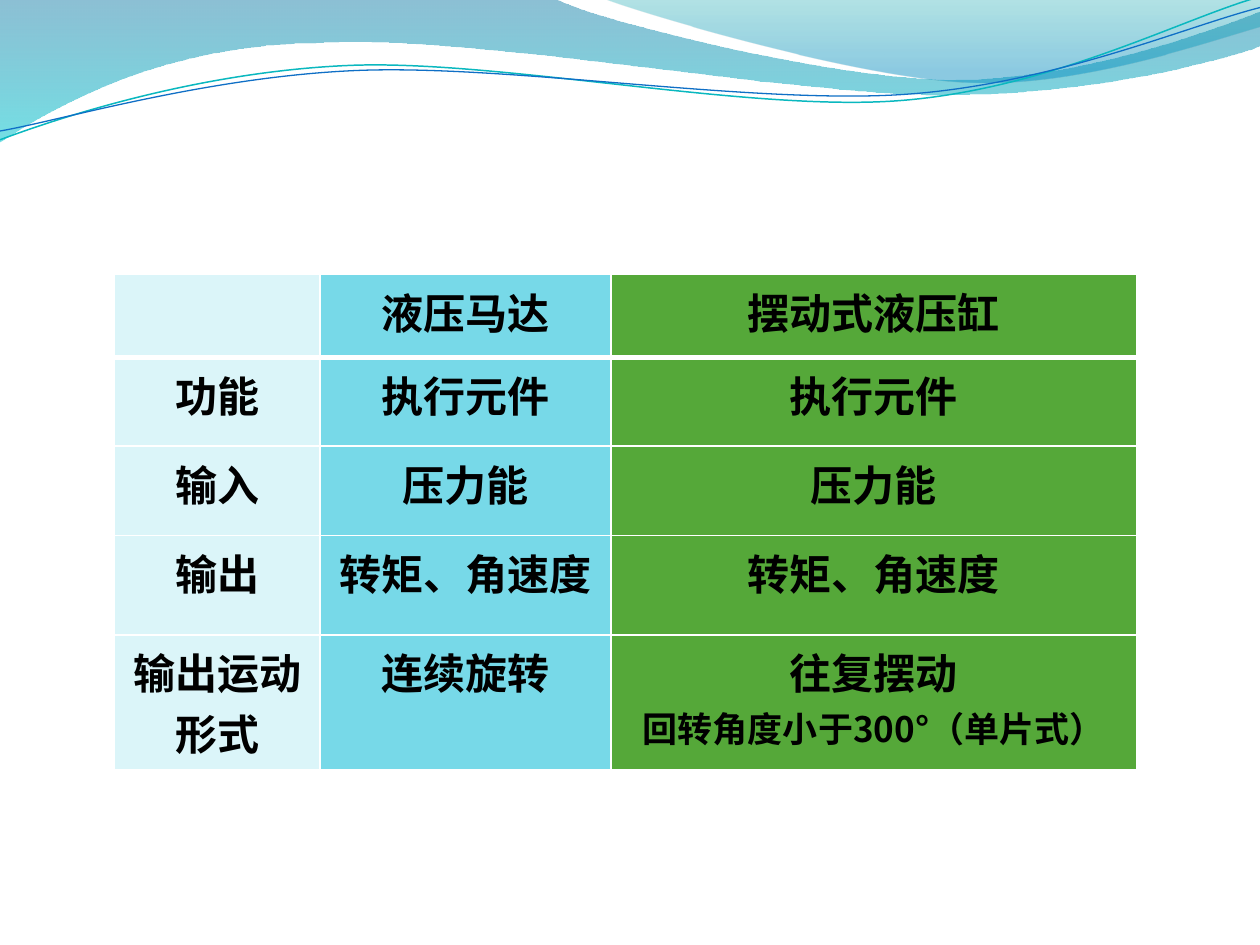
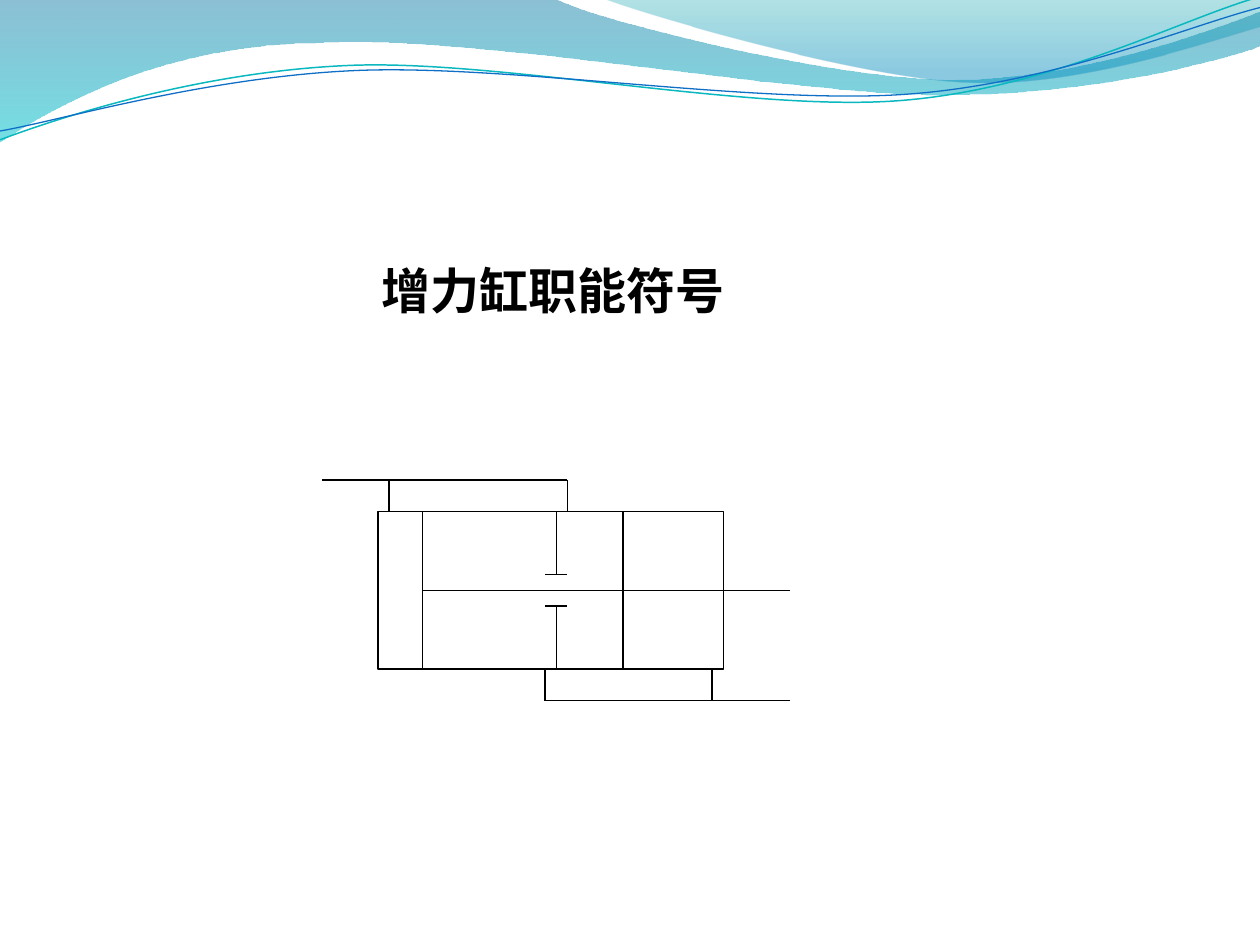
from lxml.etree import SubElement
from pptx import Presentation
from pptx.dml.color import RGBColor
from pptx.enum.shapes import MSO_CONNECTOR, MSO_SHAPE
from pptx.enum.text import MSO_ANCHOR, MSO_AUTO_SIZE, PP_ALIGN
from pptx.oxml.ns import qn
from pptx.util import Inches, Pt

FONT = "Noto Sans CJK SC"
BLACK, WHITE = "000000", "FFFFFF"

BANDS = [
    {"start": (0, -0.01),
     "segments": [(4.4, -0.01), (4.76, 0.17, 6.64, 0.63, 7.58, 0.63),
                  (8.53, 0.63, 9.58, 0.26, 10, 0.09), (10.01, 0.36),
                  (9.83, 0.44, 8.7, 0.76, 7.46, 0.75),
                  (6.22, 0.75, 3.82, 0.28, 2.57, 0.34),
                  (1.29, 0.35, 0.46, 0.83, -0.01, 1.13)],
     "stops": [(0, "0074A1", 45), (1, "00C6CF", 55)]},
    {"start": (4.79, -0.01),
     "segments": [(5.09, 0.11, 6.82, 0.62, 7.69, 0.65),
                  (8.56, 0.69, 9.61, 0.32, 10, 0.21), (10, 0)],
     "stops": [(0, "00A1A9", 30), (0.8, "008BBF", 45)]},
    {"start": (0, 1.11),
     "segments": [(0.48, 0.93, 1.58, 0.57, 2.77, 0.52),
                  (3.95, 0.47, 5.93, 0.89, 7.13, 0.8),
                  (8.33, 0.71, 9.38, 0.15, 9.98, -0.02)],
     "line": ("0AB8BF", 0.85)},
    {"start": (0, 1.04),
     "segments": [(0.47, 0.96, 1.64, 0.61, 2.83, 0.56),
                  (4.03, 0.51, 5.97, 0.83, 7.17, 0.75),
                  (8.36, 0.67, 9.41, 0.21, 10, 0.06)],
     "line": ("0F6FC6", 0.75)},
]

COMPARISON = [
    ["", "液压马达", "摆动式液压缸"],
    ["功能", "执行元件", "执行元件"],
    ["输入", "压力能", "压力能"],
    ["输出", "转矩、角速度", "转矩、角速度"],
    ["输出运动形式", "连续旋转", "往复摆动\n回转角度小于300°（单片式）"],
]
COLUMNS = [(1.63, "DBF5F9"), (2.31, "77D9E8"), (4.17, "55A839")]
ROW_HEIGHTS = [0.66, 0.7, 0.71, 0.79, 0.91]

SYMBOL_TITLE = "增力缸职能符号"
CYLINDER = {"left": 3, "top": 4.06, "width": 2.74, "height": 1.25}
GRID_COLS, GRID_ROWS = 31, 10
SYMBOL_LINES = {
    "large piston": (4, 0, 4, 10),
    "rod": (4, 5, 37, 5),
    "small piston": (22, 0, 22, 10),
    "upper wall": (16, 0, 16, 4),
    "upper seal": (15, 4, 17, 4),
    "lower seal": (15, 6, 17, 6),
    "lower wall": (16, 6, 16, 10),
    "inlet left port": (1, 0, 1, -2),
    "outlet right port": (30, 12, 30, 10),
    "inlet right port": (17, 0, 17, -2),
    "outlet left port": (15, 12, 15, 10),
    "inlet pipe": (17, -2, -5, -2),
    "outlet pipe": (37, 12, 15, 12),
}


def rgb(value):
    """Turn a hex string into a colour."""
    return RGBColor.from_string(value)


def style_text(p, size, align):
    """Set the shared bold text style on a paragraph's runs."""
    p.alignment = align
    for r in p.runs:
        for name, value in {"name": FONT, "size": Pt(size), "bold": True}.items():
            setattr(r.font, name, value)
        r.font.color.rgb = rgb(BLACK)
        SubElement(r.font._element, qn("a:ea"), typeface=FONT)


def style_line(line, color, width):
    """Set a line's colour and width."""
    line.color.rgb = rgb(color)
    line.width = Pt(width)


def add_curve(s, start, segments, close):
    """Build an outline in which six-number segments are cubic curves."""
    points = [(Inches(seg[k]), Inches(seg[k + 1]))
              for seg in segments for k in range(0, len(seg), 2)]
    builder = s.shapes.build_freeform(Inches(start[0]), Inches(start[1]))
    builder.add_line_segments(points, close=close)
    sp = builder.convert_to_shape()
    steps = iter(list(sp._element.iter(qn("a:lnTo"))))
    for seg in segments:
        step = next(steps)
        if len(seg) == 6:
            step.addprevious(curve := step.makeelement(qn("a:cubicBezTo")))
            for node in (step, next(steps), next(steps)):
                curve.append(node[0])
                node.getparent().remove(node)
    return sp


def add_bands(prs, s):
    """Draw the waves and place them on the slide master."""
    tree = prs.slide_master.shapes._spTree
    first_id = 1 + max(sp.shape_id for sp in prs.slide_master.shapes)
    for i, band in enumerate(BANDS):
        sp = add_curve(s, band["start"], band["segments"], "stops" in band)
        sp.shadow.inherit = False
        if "stops" in band:
            sp.line.fill.background()
            sp.fill.gradient()
            sp.fill.gradient_angle = 270
            for stop, (position, color, opacity) in zip(sp.fill.gradient_stops, band["stops"]):
                stop.position = position
                stop.color.rgb = rgb(color)
                node = stop._gs.find(qn("a:srgbClr"))
                SubElement(node, qn("a:alpha"), val=str(opacity * 1000))
        else:
            sp.fill.background()
            style_line(sp.line, *band["line"])
        sp._element.nvSpPr.cNvPr.set("id", str(first_id + i))
        tree.insert(2 + i, sp._element)


def set_borders(cell, widths):
    """Give a cell white borders of the given widths."""
    props = cell._tc.get_or_add_tcPr()
    for side, width in widths.items():
        ln = SubElement(props, qn("a:ln" + side), w=str(Pt(width)))
        SubElement(SubElement(ln, qn("a:solidFill")), qn("a:srgbClr"), val=WHITE)


def add_comparison(s):
    """Add the comparison table."""
    width, height = sum(w for w, _ in COLUMNS), sum(ROW_HEIGHTS)
    table = s.shapes.add_table(len(COMPARISON), len(COLUMNS), Inches(0.91), Inches(2.18),
                               Inches(width), Inches(height)).table
    for column, (w, _) in zip(table.columns, COLUMNS):
        column.width = Inches(w)
    for i, texts in enumerate(COMPARISON):
        table.rows[i].height = Inches(ROW_HEIGHTS[i])
        for j, text in enumerate(texts):
            cell = table.cell(i, j)
            set_borders(cell, {"L": 1, "R": 1, "T": 3 if i == 1 else 1, "B": 3 if i == 0 else 1})
            cell.fill.solid()
            cell.fill.fore_color.rgb = rgb(COLUMNS[j][1])
            cell.text = text
            for n, p in enumerate(cell.text_frame.paragraphs):
                style_text(p, 20 if n else 24, PP_ALIGN.CENTER)


def add_title(s, text):
    """Fill and place the title placeholder."""
    title = s.shapes.title
    box = {"left": 2.93, "top": 2.02, "width": 2.96, "height": 0.57}
    for name, value in box.items():
        setattr(title, name, Inches(value))
    tf = title.text_frame
    tf.text = text
    frame = {"word_wrap": False, "vertical_anchor": MSO_ANCHOR.TOP,
             "auto_size": MSO_AUTO_SIZE.SHAPE_TO_FIT_TEXT}
    for name, value in frame.items():
        setattr(tf, name, value)
    style_text(tf.paragraphs[0], 28, PP_ALIGN.LEFT)


def grid_point(col, row):
    """Give the place of a point on the cylinder grid."""
    c = CYLINDER
    return (Inches(c["left"] + col * c["width"] / GRID_COLS),
            Inches(c["top"] + row * c["height"] / GRID_ROWS))


def add_symbol(s):
    """Draw the cylinder symbol on its grid."""
    group = s.shapes.add_group_shape()
    body = group.shapes.add_shape(MSO_SHAPE.RECTANGLE, *map(Inches, CYLINDER.values()))
    body.shadow.inherit = False
    body.fill.background()
    style_line(body.line, BLACK, 0.75)
    for x1, y1, x2, y2 in SYMBOL_LINES.values():
        line = group.shapes.add_connector(MSO_CONNECTOR.STRAIGHT,
                                          *grid_point(x1, y1), *grid_point(x2, y2))
        style_line(line.line, BLACK, 0.75)
        SubElement(line._element.spPr, qn("a:effectLst"))


def main():
    """Build both slides and save them."""
    prs = Presentation()
    prs.slide_width, prs.slide_height = Inches(10), Inches(7.5)
    s = prs.slides.add_slide(prs.slide_layouts.get_by_name("Blank"))
    add_bands(prs, s)
    add_comparison(s)
    s = prs.slides.add_slide(prs.slide_layouts.get_by_name("Title Only"))
    add_title(s, SYMBOL_TITLE)
    add_symbol(s)
    prs.save("out.pptx")


if __name__ == "__main__":
    main()
